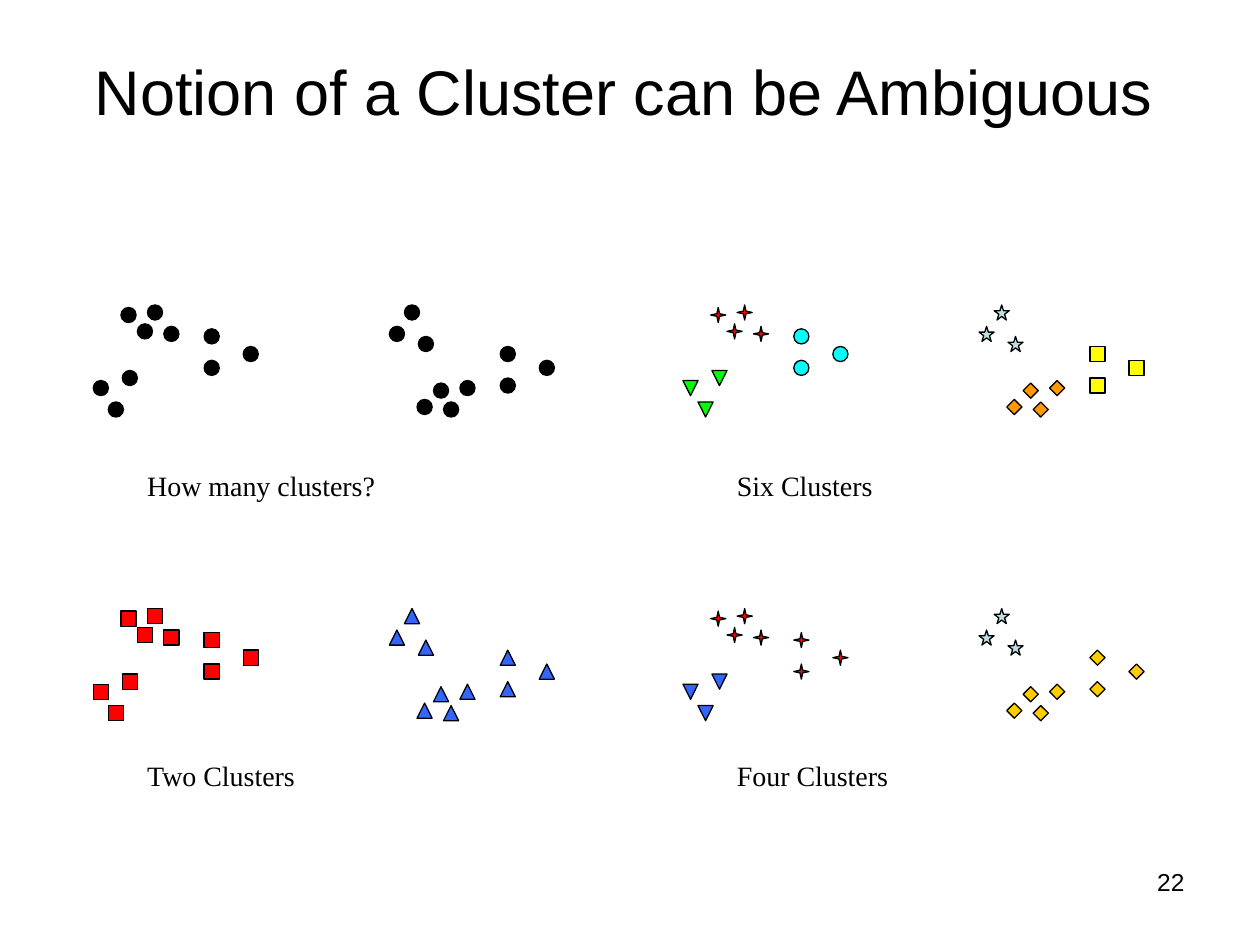
from dataclasses import dataclass
from typing import NamedTuple

from pptx import Presentation
from pptx.dml.color import RGBColor
from pptx.enum.shapes import MSO_SHAPE as SHAPE
from pptx.enum.text import MSO_ANCHOR as ANCHOR, MSO_AUTO_SIZE as AUTO, PP_ALIGN as ALIGN
from pptx.util import Emu, Pt

PX = 9144  # 100 px to the inch


@dataclass(frozen=True)
class Theme:
    black: str = "000000"
    red: str = "FF0000"
    blue: str = "3366FF"
    green: str = "00FF00"
    cyan: str = "00FFFF"
    yellow: str = "FFFF00"
    orange: str = "FF9900"
    gold: str = "FFCC00"
    pale: str = "BBE0E3"
    sans: str = "Arial"
    serif: str = "Times New Roman"
    title: int = 36
    caption: int = 16
    number: int = 14
    outline: float = 0.75


class Marker(NamedTuple):
    shape: SHAPE
    color: str
    rotation: int = 0


class Panel(NamedTuple):
    caption: str
    caption_top: int
    left: tuple   # markers of the band, corner and side points
    right: tuple


T = Theme()
MARKER_SIZE = 12
CLOUD_HEIGHT = 77
CLOUD_SHIFT = 235

# Points of the left cloud; the right cloud is its upside-down twin
BAND = [(56, 17), (22, 2), (43, 0), (35, 15)]
CORNER = [(23, 52), (0, 60), (12, 77)]
SIDE = [(88, 19), (119, 33), (88, 44)]

# Markers
DOT = Marker(SHAPE.OVAL, T.black)
RED_SQUARE = Marker(SHAPE.RECTANGLE, T.red)
BLUE_UP = Marker(SHAPE.ISOSCELES_TRIANGLE, T.blue)
BLUE_DOWN = Marker(SHAPE.ISOSCELES_TRIANGLE, T.blue, 180)
GREEN_DOWN = Marker(SHAPE.ISOSCELES_TRIANGLE, T.green, 180)
SPARK = Marker(SHAPE.STAR_4_POINT, T.red)
STAR = Marker(SHAPE.STAR_5_POINT, T.pale)
CYAN_DOT = Marker(SHAPE.OVAL, T.cyan)
YELLOW_SQUARE = Marker(SHAPE.RECTANGLE, T.yellow)
ORANGE_DIAMOND = Marker(SHAPE.DIAMOND, T.orange)
GOLD_DIAMOND = Marker(SHAPE.DIAMOND, T.gold)

# Two rows of two panels
PANELS = [
    [Panel("How many clusters?", 125, (DOT,) * 3, (DOT,) * 3),
     Panel("Six Clusters", 125, (SPARK, GREEN_DOWN, CYAN_DOT),
           (ORANGE_DIAMOND, STAR, YELLOW_SQUARE))],
    [Panel("Two Clusters", 114, (RED_SQUARE,) * 3, (BLUE_UP,) * 3),
     Panel("Four Clusters", 114, (SPARK, BLUE_DOWN, SPARK),
           (GOLD_DIAMOND, STAR, GOLD_DIAMOND))],
]


def emu(*lengths):
    return [Emu(n * PX) for n in lengths]


def add_text(shapes, text, box, *, size, font, align=ALIGN.LEFT,
             anchor=ANCHOR.TOP, auto_size=AUTO.NONE):
    tf = shapes.add_textbox(*emu(*box)).text_frame
    tf.word_wrap = True
    tf.auto_size = auto_size
    tf.vertical_anchor = anchor
    p = tf.paragraphs[0]
    p.alignment = align
    r = p.add_run()
    r.text = text
    r.font.size = Pt(size)
    r.font.name = font
    r.font.color.rgb = RGBColor.from_string(T.black)


def add_marker(shapes, marker, x, y):
    sp = shapes.add_shape(marker.shape, *emu(x, y, MARKER_SIZE, MARKER_SIZE))
    sp.shadow.inherit = False
    sp.rotation = marker.rotation
    sp.fill.solid()
    sp.fill.fore_color.rgb = RGBColor.from_string(marker.color)
    sp.line.color.rgb = RGBColor.from_string(T.black)
    sp.line.width = Pt(T.outline)


def add_cloud(shapes, markers, x, y, upside_down=False):
    for marker, points in zip(markers, (BAND, CORNER, SIDE)):
        for dx, dy in points:
            add_marker(shapes, marker, x + dx,
                       y + (CLOUD_HEIGHT - dy if upside_down else dy))


def add_panel(slide, panel, x, y):
    shapes = slide.shapes.add_group_shape().shapes
    add_cloud(shapes, panel.right, x + CLOUD_SHIFT, y, upside_down=True)
    add_cloud(shapes, panel.left, x, y)
    add_text(shapes, panel.caption, (x + 33, y + panel.caption_top, 250, 37),
             size=T.caption, font=T.serif, auto_size=AUTO.SHAPE_TO_FIT_TEXT)


def add_panels(slide, left, top, col_step, row_step):
    for row, panels in enumerate(PANELS):
        for col, panel in enumerate(panels):
            add_panel(slide, panel, left + col * col_step, top + row * row_step)


def main():
    prs = Presentation()
    prs.slide_width, prs.slide_height = emu(1000, 750)
    slide = prs.slides.add_slide(prs.slide_layouts[6])

    # Page number and title
    add_text(slide.shapes, "22", (717, 683, 233, 52),
             size=T.number, font=T.sans, align=ALIGN.RIGHT)
    add_text(slide.shapes, "Notion of a Cluster can be Ambiguous", (42, 42, 906, 60),
             size=T.title, font=T.sans, align=ALIGN.CENTER, anchor=ANCHOR.MIDDLE)

    # Four readings of the same points
    add_panels(slide, 74, 242, col_step=468, row_step=241)

    prs.save("out.pptx")


if __name__ == "__main__":
    main()
